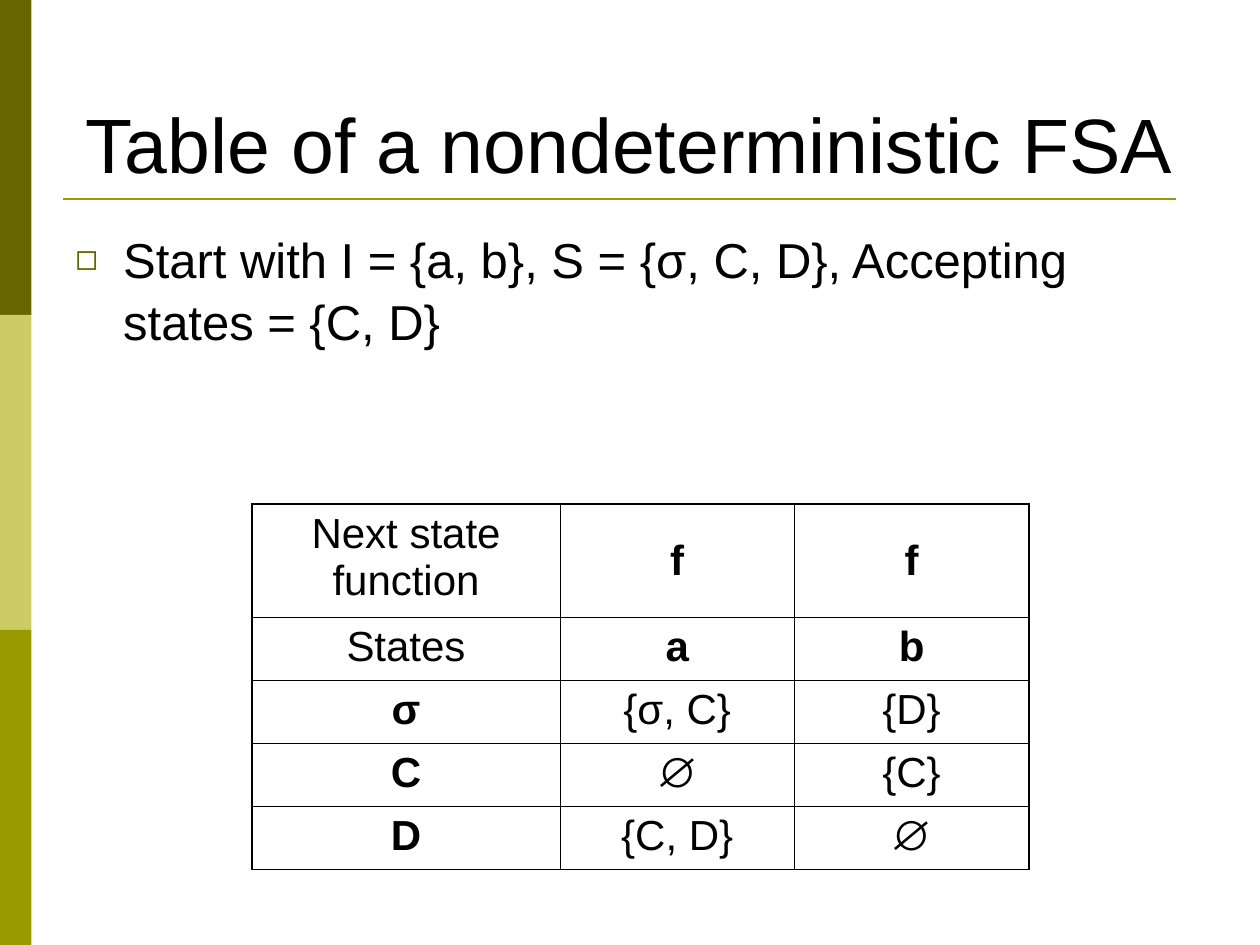
from lxml.etree import SubElement
from pptx import Presentation
from pptx.dml.color import RGBColor
from pptx.enum.shapes import MSO_CONNECTOR as Connector, MSO_SHAPE as Shape
from pptx.enum.text import MSO_ANCHOR as Anchor, PP_ALIGN as Align
from pptx.oxml.ns import qn
from pptx.util import Inches, Pt

BLACK, OLIVE, PALE, DARK = "000000", "999900", "CCCC66", "666600"
THIN, THICK = 0.45, 1.08


def color(hex_value):
    return RGBColor.from_string(hex_value)


class GridPage:
    font_name = "Arial"
    unit = 0.25

    def __init__(self, deck):
        self.page = deck.slides.add_slide(deck.slide_layouts[6])

    def lengths(self, *steps):
        return [Inches(step * self.unit) for step in steps]

    def style(self, para, size, bold=False):
        for span in para.runs:
            span.font.name = self.font_name
            span.font.size = Pt(size)
            span.font.bold = bold
            span.font.color.rgb = color(BLACK)

    def band(self, area, fill):
        band = self.page.shapes.add_shape(Shape.RECTANGLE, *self.lengths(*area))
        band.shadow.inherit = False
        band.fill.solid()
        band.fill.fore_color.rgb = color(fill)
        band.line.fill.background()

    def rule(self, ends, stroke, width):
        rule = self.page.shapes.add_connector(Connector.STRAIGHT, *self.lengths(*ends))
        rule.line.color.rgb = color(stroke)
        rule.line.width = Pt(width)
        SubElement(rule._element.spPr, qn("a:effectLst"))

    def text(self, area, words, size, anchor=Anchor.TOP, align=Align.LEFT):
        box = self.page.shapes.add_textbox(*self.lengths(*area))
        frame = box.text_frame
        frame.word_wrap = True
        frame.vertical_anchor = anchor
        frame.text = words
        para = frame.paragraphs[0]
        para.alignment = align
        self.style(para, size)
        return para

    def bullet(self, area, words, size, mark, mark_color):
        para = self.text(area, words, size)
        para.line_spacing = 1.05
        props = para._p.get_or_add_pPr()
        props.set("marL", str(Inches(0.38)))
        props.set("indent", str(-Inches(0.38)))
        tint = SubElement(props, qn("a:buClr"))
        SubElement(tint, qn("a:srgbClr"), val=mark_color)
        SubElement(props, qn("a:buSzPct"), val="75000")
        SubElement(props, qn("a:buFont"), typeface=self.font_name)
        SubElement(props, qn("a:buChar"), char=mark)

    def borders(self, cell, widths):
        props = cell._tc.get_or_add_tcPr()
        for side, width in zip("LRTB", widths):
            edge = SubElement(props, qn(f"a:ln{side}"), w=str(Pt(width)))
            fill = SubElement(edge, qn("a:solidFill"))
            SubElement(fill, qn("a:srgbClr"), val=BLACK)

    def table(self, corner, columns, rows, content, bold_cells, size):
        area = (*corner, sum(columns), sum(rows))
        table = self.page.shapes.add_table(
            len(rows), len(columns), *self.lengths(*area)).table
        table.first_row = table.horz_banding = False
        for column, width in zip(table.columns, self.lengths(*columns)):
            column.width = width
        last_row, last_column = len(rows) - 1, len(columns) - 1
        for r, (height, words) in enumerate(zip(self.lengths(*rows), content)):
            table.rows[r].height = height
            for c, word in enumerate(words):
                cell = table.cell(r, c)
                outer = (c == 0, c == last_column, r == 0, r == last_row)
                self.borders(cell, [THICK if edge else THIN for edge in outer])
                cell.fill.background()
                cell.text_frame.text = word
                cell.vertical_anchor = Anchor.MIDDLE if r == 0 and c else Anchor.TOP
                para = cell.text_frame.paragraphs[0]
                para.alignment = Align.CENTER
                self.style(para, size, (r, c) in bold_cells)


def main():
    deck = Presentation()
    deck.slide_width, deck.slide_height = Inches(10), Inches(7.5)
    page = GridPage(deck)
    for index, fill in enumerate((DARK, PALE, OLIVE)):
        page.band((0, index * 10, 1, 10), fill)
    page.rule((2, 6.32, 37.32, 6.32), OLIVE, 1.5)
    page.text((2, 1.2, 36, 5), "Table of a nondeterministic FSA", 44,
              Anchor.BOTTOM, Align.CENTER)
    page.bullet((2, 7, 36, 19.8),
                "Start with I = {a, b}, S = {σ, C, D}, Accepting states = {C, D}",
                28, "◻", DARK)
    transitions = [
        ("Next state function", "f", "f"),
        ("States", "a", "b"),
        ("σ", "{σ, C}", "{D}"),
        ("C", "∅", "{C}"),
        ("D", "{C, D}", "∅"),
    ]
    bold_cells = {(0, 1), (0, 2), (1, 1), (1, 2), (2, 0), (3, 0), (4, 0)}
    page.table((8, 16), (9.78, 7.44, 7.44), (3.58, *[1.99] * 4),
               transitions, bold_cells, 24)
    deck.save("out.pptx")


if __name__ == "__main__":
    main()
